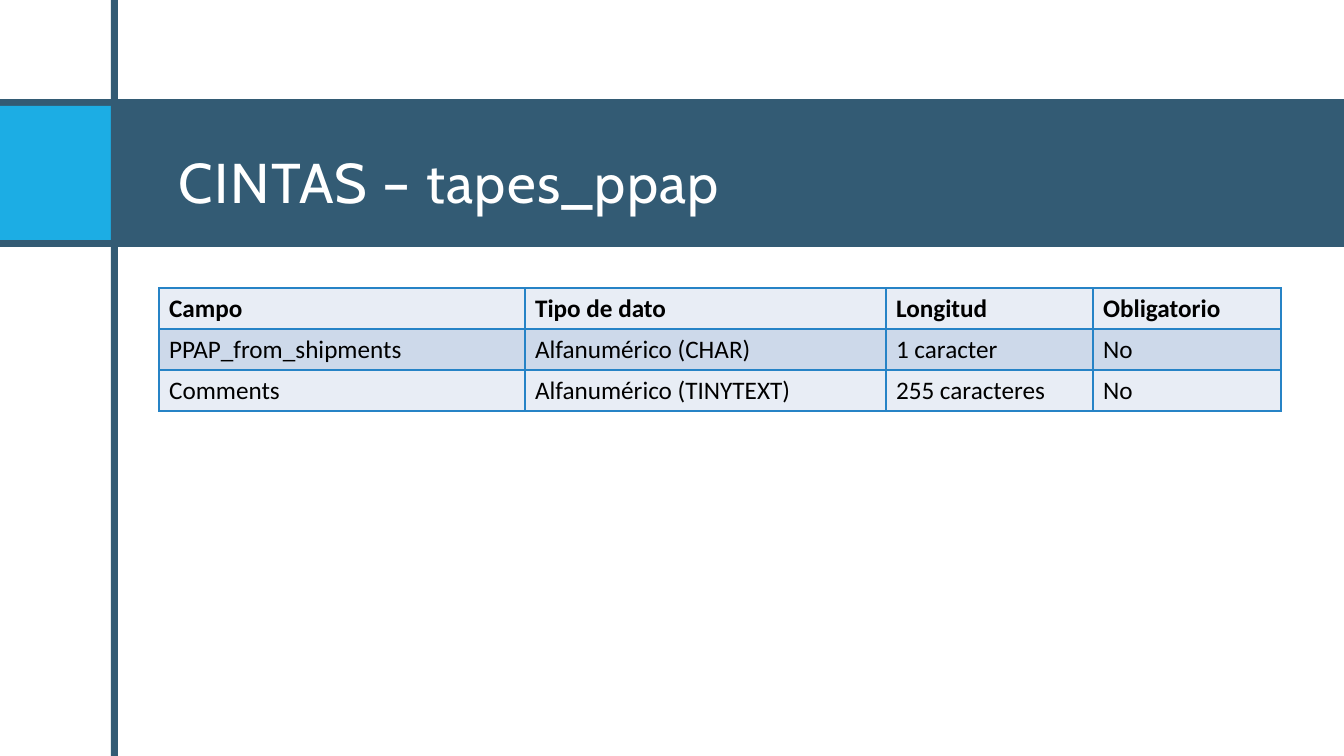
"""Build the slide that lists the fields of the tapes_ppap table."""
from typing import NamedTuple

from lxml import etree
from pptx import Presentation
from pptx import util as u
from pptx.dml.color import RGBColor
from pptx.enum import shapes, text
from pptx.oxml import ns

EMU_PER_PX = 914400 / 100.8
SLIDE_WIDTH, SLIDE_HEIGHT = 1344, 756

NAVY = RGBColor(0x33, 0x5B, 0x74)
CYAN = RGBColor(0x1C, 0xAD, 0xE4)
WHITE = RGBColor(0xFF, 0xFF, 0xFF)
BLACK = RGBColor(0x00, 0x00, 0x00)
GRID = RGBColor(0x26, 0x83, 0xC6)
ROW_FILLS = (RGBColor(0xE8, 0xED, 0xF5), RGBColor(0xCD, 0xD9, 0xEA))


class Band(NamedTuple):
    """Plain coloured rectangle, in px."""
    left: int
    top: int
    width: int
    height: int
    color: RGBColor


class Field(NamedTuple):
    """One row of the field table."""
    name: str
    data_type: str
    length: str
    required: str


BANDS = (
    Band(0, 99, SLIDE_WIDTH, 148, NAVY),
    Band(0, 106, 111, 134, CYAN),
    Band(111, 0, 7, SLIDE_HEIGHT, NAVY),
)
FIELDS = (
    Field("Campo", "Tipo de dato", "Longitud", "Obligatorio"),
    Field("PPAP_from_shipments", "Alfanumérico (CHAR)", "1 caracter", "No"),
    Field("Comments", "Alfanumérico (TINYTEXT)", "255 caracteres", "No"),
)
COLUMN_WIDTHS = (366, 361, 207, 188)
ROW_HEIGHT = 41


def px(length: int) -> u.Emu:
    """Turn px into EMU."""
    return u.Emu(round(length * EMU_PER_PX))


def style_run(run, font_name: str, size: int, color: RGBColor, bold: bool = False) -> None:
    """Set the font of a run."""
    run.font.name = font_name
    run.font.size = u.Pt(size)
    run.font.color.rgb = color
    run.font.bold = bold


def draw_band(slide, band: Band) -> None:
    """Draw one rectangle without an outline."""
    rectangle = slide.shapes.add_shape(
        shapes.MSO_SHAPE.RECTANGLE,
        px(band.left), px(band.top), px(band.width), px(band.height))
    rectangle.shadow.inherit = False
    rectangle.fill.solid()
    rectangle.fill.fore_color.rgb = band.color
    rectangle.line.fill.background()


def draw_title(slide, words: str) -> None:
    """Write the heading on the navy band."""
    heading = slide.shapes.add_textbox(px(169), px(106), px(1104), px(134))
    frame = heading.text_frame
    frame.word_wrap = True
    frame.vertical_anchor = text.MSO_ANCHOR.MIDDLE
    frame.margin_left = frame.margin_right = u.Inches(0.1)
    frame.margin_top, frame.margin_bottom = u.Inches(0.2), u.Inches(0.05)
    frame.text = words
    run = frame.paragraphs[0].runs[0]
    style_run(run, "Cabin", 40, WHITE)
    run.font._element.set("spc", "100")


def draw_borders(cell) -> None:
    """Give a cell a thin line on all four sides."""
    properties = cell._tc.get_or_add_tcPr()
    for side in ("a:lnL", "a:lnR", "a:lnT", "a:lnB"):
        border = etree.SubElement(properties, ns.qn(side), w=str(u.Pt(1)))
        fill = etree.SubElement(border, ns.qn("a:solidFill"))
        etree.SubElement(fill, ns.qn("a:srgbClr"), val=str(GRID))


def draw_fields(slide, fields: tuple[Field, ...]) -> None:
    """Draw the field table with a bold first row."""
    table = slide.shapes.add_table(
        len(fields), len(COLUMN_WIDTHS), px(159), px(288),
        px(sum(COLUMN_WIDTHS)), px(ROW_HEIGHT * len(fields))).table
    for column, width in zip(table.columns, COLUMN_WIDTHS):
        column.width = px(width)
    for index, (row, field) in enumerate(zip(table.rows, fields)):
        row.height = px(ROW_HEIGHT)
        for cell, words in zip(row.cells, field):
            draw_borders(cell)
            cell.fill.solid()
            cell.fill.fore_color.rgb = ROW_FILLS[index % 2]
            cell.text_frame.text = words
            run = cell.text_frame.paragraphs[0].runs[0]
            style_run(run, "Calibri", 18, BLACK, bold=index == 0)


def main() -> None:
    """Build and save the slide."""
    deck = Presentation()
    deck.slide_width, deck.slide_height = px(SLIDE_WIDTH), px(SLIDE_HEIGHT)
    slide = deck.slides.add_slide(deck.slide_layouts[6])
    for band in BANDS:
        draw_band(slide, band)
    draw_title(slide, "CINTAS – tapes_ppap")
    draw_fields(slide, FIELDS)
    deck.save("out.pptx")


if __name__ == "__main__":
    main()
